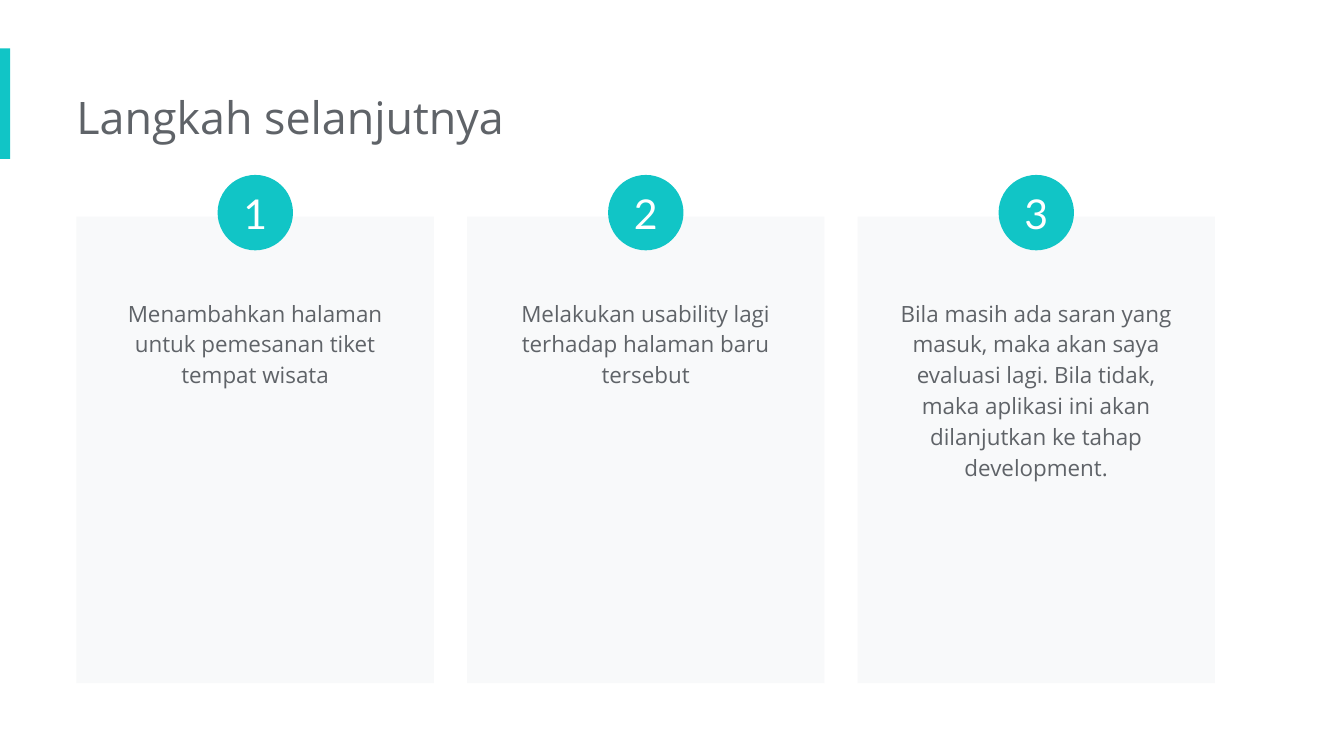
from dataclasses import dataclass

from pptx import Presentation
from pptx.dml.color import RGBColor
from pptx.enum.shapes import MSO_SHAPE
from pptx.enum.text import MSO_ANCHOR, PP_ALIGN
from pptx.shapes.autoshape import Shape
from pptx.slide import Slide
from pptx.util import Pt

TEAL = RGBColor(0x11, 0xC5, 0xC6)
GREY = RGBColor(0x5F, 0x63, 0x68)
PALE = RGBColor(0xF8, 0xF9, 0xFA)
WHITE = RGBColor(0xFF, 0xFF, 0xFF)

MARGIN_LEFT = 41
CARD_TOP, CARD_WIDTH, CARD_HEIGHT, CARD_PITCH = 116, 191.5, 250, 209.2
BADGE_TOP, BADGE_SIZE = 93.7, 40.4
BODY_TOP, BODY_WIDTH = 151.2, 161.3


@dataclass(frozen=True)
class Box:
    left: float
    top: float
    width: float
    height: float

    def emu(self) -> tuple[Pt, Pt, Pt, Pt]:
        return Pt(self.left), Pt(self.top), Pt(self.width), Pt(self.height)


@dataclass(frozen=True)
class Step:
    number: int
    description: str
    height: float

    @property
    def center(self) -> float:
        return MARGIN_LEFT + CARD_WIDTH / 2 + (self.number - 1) * CARD_PITCH

    def centered(self, top: float, width: float, height: float) -> Box:
        return Box(self.center - width / 2, top, width, height)


STEPS = (
    Step(1, "Menambahkan halaman untuk pemesanan tiket tempat wisata", 65),
    Step(2, "Melakukan usability lagi terhadap halaman baru tersebut", 81.5),
    Step(3, "Bila masih ada saran yang masuk, maka akan saya evaluasi lagi. "
            "Bila tidak, maka aplikasi ini akan dilanjutkan ke tahap development.", 115),
)


def write(shape: Shape, text: str, *, size: float, font: str = "Open Sans",
          color: RGBColor = GREY, align: PP_ALIGN = PP_ALIGN.LEFT,
          anchor: MSO_ANCHOR = MSO_ANCHOR.TOP, spacing: float = 1.0,
          insets: tuple[float, float, float, float] = (7.2, 7.2, 7.2, 7.2)) -> None:
    frame = shape.text_frame
    frame.word_wrap = True
    frame.vertical_anchor = anchor
    (frame.margin_left, frame.margin_top,
     frame.margin_right, frame.margin_bottom) = map(Pt, insets)
    paragraph = frame.paragraphs[0]
    paragraph.alignment = align
    paragraph.line_spacing = spacing
    run = paragraph.add_run()
    run.text = text
    run.font.name = font
    run.font.size = Pt(size)
    run.font.color.rgb = color


def add_block(slide: Slide, kind: MSO_SHAPE, box: Box, fill: RGBColor) -> Shape:
    block = slide.shapes.add_shape(kind, *box.emu())
    block.shadow.inherit = False
    block.fill.solid()
    block.fill.fore_color.rgb = fill
    block.line.fill.background()
    return block


def add_step(slide: Slide, step: Step) -> None:
    add_block(slide, MSO_SHAPE.RECTANGLE,
              step.centered(CARD_TOP, CARD_WIDTH, CARD_HEIGHT), PALE)
    body = slide.shapes.add_textbox(*step.centered(BODY_TOP, BODY_WIDTH, step.height).emu())
    write(body, step.description, size=12, align=PP_ALIGN.CENTER, spacing=1.15)
    badge = add_block(slide, MSO_SHAPE.OVAL,
                      step.centered(BADGE_TOP, BADGE_SIZE, BADGE_SIZE), TEAL)
    write(badge, str(step.number), size=22, font="Lato", color=WHITE,
          align=PP_ALIGN.CENTER, anchor=MSO_ANCHOR.MIDDLE, insets=(0, 0, 0, 0))


def main() -> None:
    """Build the slide with the three next steps."""
    deck = Presentation()
    deck.slide_width, deck.slide_height = Pt(720), Pt(405)
    slide = deck.slides.add_slide(deck.slide_layouts[6])
    add_block(slide, MSO_SHAPE.RECTANGLE, Box(0, 26, 5.5, 59.2), TEAL)
    title = slide.shapes.add_textbox(*Box(MARGIN_LEFT, 41, 388, 44).emu())
    write(title, "Langkah selanjutnya", size=24, insets=(0, 7.2, 7.2, 7.2))
    for step in STEPS:
        add_step(slide, step)
    deck.save("out.pptx")


if __name__ == "__main__":
    main()
